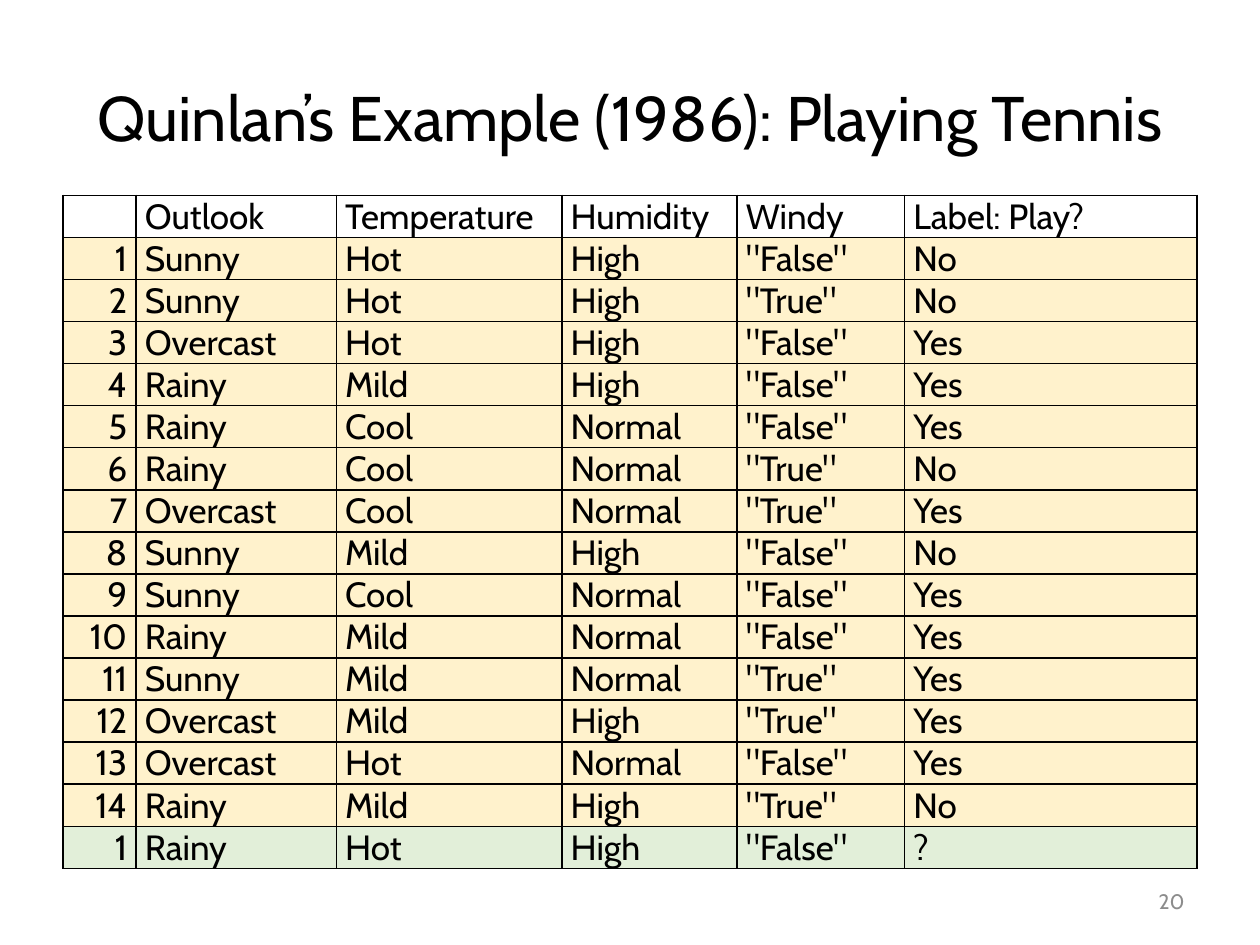
from lxml import etree
from pptx import Presentation
from pptx import util as u
from pptx.dml.color import RGBColor
from pptx.enum import text
from pptx.oxml.ns import qn

FONT = "Cabin"
BLACK = "000000"
COLUMN_WIDTHS = [0.58, 1.59, 1.79, 1.39, 1.33, 2.32]
ROW_HEIGHT = 0.33
HEADER = ["", "Outlook", "Temperature", "Humidity", "Windy", "Label: Play?"]
TRAINING_DAYS = """
Sunny Hot High "False" No
Sunny Hot High "True" No
Overcast Hot High "False" Yes
Rainy Mild High "False" Yes
Rainy Cool Normal "False" Yes
Rainy Cool Normal "True" No
Overcast Cool Normal "True" Yes
Sunny Mild High "False" No
Sunny Cool Normal "False" Yes
Rainy Mild Normal "False" Yes
Sunny Mild Normal "True" Yes
Overcast Mild High "True" Yes
Overcast Hot Normal "False" Yes
Rainy Mild High "True" No
""".strip().splitlines()
TEST_DAY = ["1", "Rainy", "Hot", "High", '"False"', "?"]


def rgb(value):
    return RGBColor.from_string(value)


def set_attrs(obj, values):
    for name, value in values.items():
        setattr(obj, name, value)


def write(tf, words, size, color, align):
    p = tf.paragraphs[0]
    p.alignment = align
    r = p.add_run()
    r.text = words
    set_attrs(r.font, {"name": FONT, "size": u.Pt(size)})
    r.font.color.rgb = rgb(color)


def place(sp, left, top, width, height):
    set_attrs(sp, {"left": u.Inches(left), "top": u.Inches(top),
                   "width": u.Inches(width), "height": u.Inches(height)})


def add_title(s, words):
    sp = s.shapes.title
    place(sp, 0.5, 0.3, 9, 1.25)
    set_attrs(sp.text_frame, {"word_wrap": True,
                              "vertical_anchor": text.MSO_ANCHOR.MIDDLE})
    write(sp.text_frame, words, 36, BLACK, text.PP_ALIGN.CENTER)


def add_page_number(s, number):
    sp = s.shapes.add_textbox(u.Inches(7.17), u.Inches(6.95),
                              u.Inches(2.33), u.Inches(0.4))
    set_attrs(sp.text_frame, {"word_wrap": True,
                              "vertical_anchor": text.MSO_ANCHOR.MIDDLE})
    write(sp.text_frame, number, 12, "8C8C8C", text.PP_ALIGN.RIGHT)


def add_borders(cell, color, width):
    tc_pr = cell._tc.get_or_add_tcPr()
    for side in ("a:lnL", "a:lnR", "a:lnT", "a:lnB"):
        ln = etree.SubElement(tc_pr, qn(side), w=str(u.Pt(width)))
        fill = etree.SubElement(ln, qn("a:solidFill"))
        etree.SubElement(fill, qn("a:srgbClr"), val=color)


def format_cell(cell, words, fill, is_number):
    set_attrs(cell, {
        "margin_left": u.Inches(0.07), "margin_right": u.Inches(0.07),
        "margin_top": 0, "margin_bottom": 0,
        "vertical_anchor": text.MSO_ANCHOR.TOP if is_number else text.MSO_ANCHOR.BOTTOM,
    })
    add_borders(cell, BLACK, 1)
    cell.fill.solid()
    cell.fill.fore_color.rgb = rgb(fill)
    if words:
        align = text.PP_ALIGN.RIGHT if is_number else text.PP_ALIGN.LEFT
        write(cell.text_frame, words, 20, BLACK, align)


def add_days_table(s, rows):
    frame = s.shapes.add_table(len(rows), len(COLUMN_WIDTHS),
                               u.Inches(0.5), u.Inches(1.55), u.Inches(9),
                               u.Inches(ROW_HEIGHT * len(rows)))
    table = frame.table
    set_attrs(table, {"first_row": False, "horz_banding": False})
    for column, width in zip(table.columns, COLUMN_WIDTHS):
        column.width = u.Inches(width)
    for row, (values, fill) in zip(table.rows, rows):
        row.height = u.Inches(ROW_HEIGHT)
        for i, (cell, words) in enumerate(zip(row.cells, values)):
            format_cell(cell, words, fill, i == 0)


def main():
    prs = Presentation()
    set_attrs(prs, {"slide_width": u.Inches(10), "slide_height": u.Inches(7.5)})
    s = prs.slides.add_slide(prs.slide_layouts[5])
    add_title(s, "Quinlan’s Example (1986): Playing Tennis")
    add_page_number(s, "20")
    training = [([str(n), *day.split()], "FFF2CC")
                for n, day in enumerate(TRAINING_DAYS, 1)]
    add_days_table(s, [(HEADER, "FFFFFF"), *training, (TEST_DAY, "E2EFD9")])
    prs.save("out.pptx")


if __name__ == "__main__":
    main()
